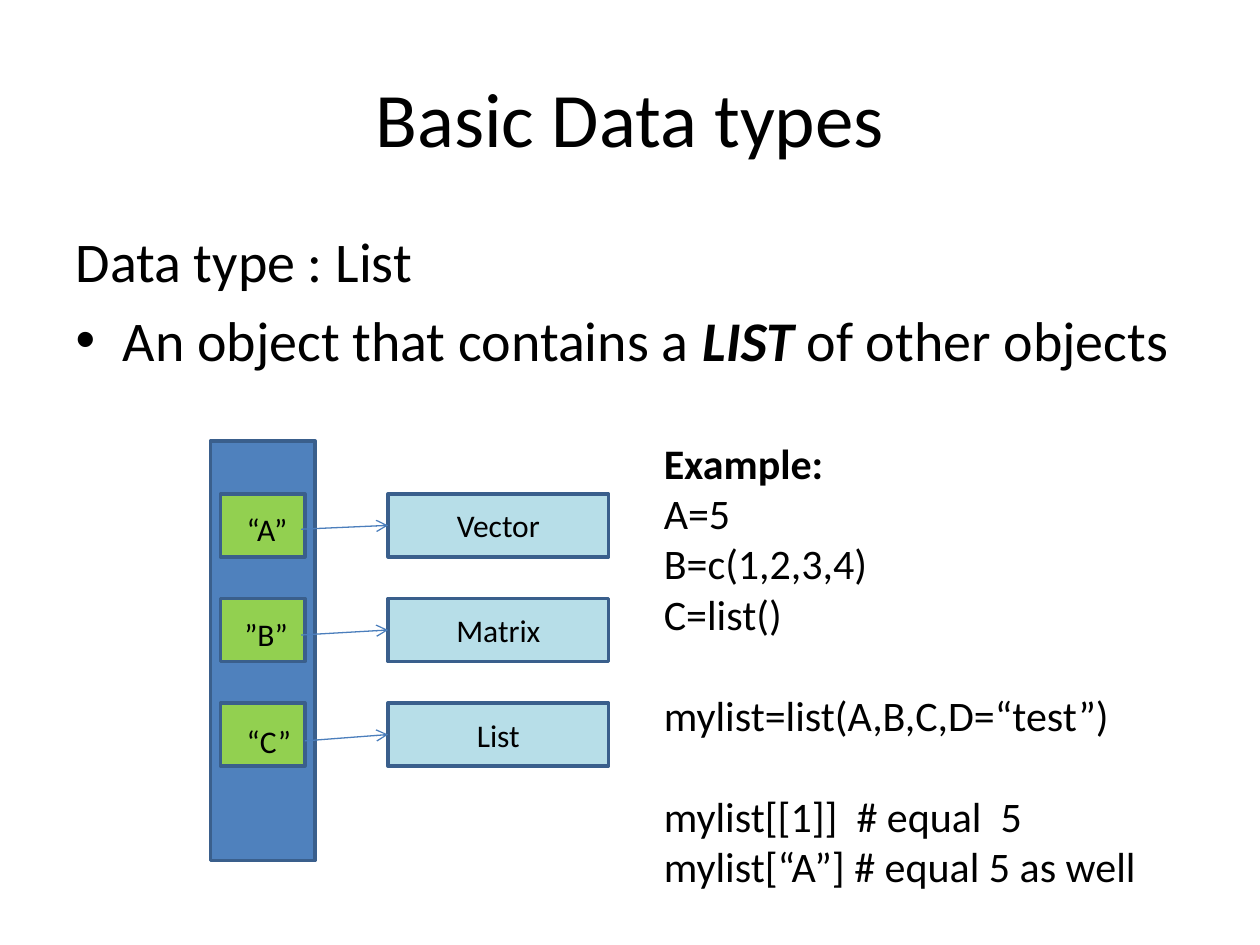
from lxml.etree import SubElement
from pptx import Presentation
from pptx.dml.color import RGBColor
from pptx.enum.shapes import MSO_CONNECTOR, MSO_SHAPE
from pptx.enum.text import MSO_ANCHOR, MSO_AUTO_SIZE, PP_ALIGN
from pptx.oxml.ns import qn
from pptx.util import Inches, Pt


def paint(color_format, hex_color):
    color_format.rgb = RGBColor.from_string(hex_color)


def add_box(left, top, width, height, fill):
    shape = slide.shapes.add_shape(
        MSO_SHAPE.RECTANGLE, Inches(left), Inches(top), Inches(width), Inches(height))
    shape.shadow.inherit = False
    shape.fill.solid()
    paint(shape.fill.fore_color, fill)
    paint(shape.line.color, "3A5F8C")
    shape.line.width = Pt(2)
    return shape


presentation = Presentation()
presentation.slide_width = Inches(10)
presentation.slide_height = Inches(7.5)
slide = presentation.slides.add_slide(presentation.slide_layouts[1])

# Title
title = slide.shapes.title
title.left, title.top, title.width, title.height = map(Inches, (0.5, 0.3, 9, 1.25))
title.text_frame.text = "Basic Data types"
paragraph = title.text_frame.paragraphs[0]
paragraph.font.name = "Calibri"
paragraph.font.size = Pt(44)

# Heading and definition
body = slide.placeholders[1]
body.left, body.top, body.width, body.height = map(Inches, (0.5, 1.75, 9, 2.08))
heading = body.text_frame.paragraphs[0]
heading.text = "Data type : List"
SubElement(heading._p.get_or_add_pPr(), qn("a:buNone"))
definition = body.text_frame.add_paragraph()
for text, emphasis in (("An object that contains a ", None), ("LIST", True),
                       (" of other objects", None)):
    run = definition.add_run()
    run.text = text
    run.font.bold = run.font.italic = emphasis
for paragraph in (heading, definition):
    paragraph.font.name = "Calibri"
    paragraph.font.size = Pt(32)

# List container
add_box(1.67, 3.5, 0.83, 3.33, "4F81BD")

# Rows: name, label left, label top, label width, arrow start, content
rows = [
    ("“A”", 1.86, 4.0, 0.53, (2.39, 4.2), "Vector"),
    ("”B”", 1.84, 4.83, 0.55, (2.39, 5.04), "Matrix"),
    ("“C”", 1.86, 5.68, 0.56, (2.42, 5.88), "List"),
]
for index, (name, left, top, width, start, content) in enumerate(rows):
    row_top = 3.92 + index * 0.83
    add_box(1.75, row_top, 0.67, 0.5, "92D050")

    # Content box
    content_box = add_box(3.08, row_top, 1.75, 0.5, "B7DEE8")
    content_box.text_frame.text = content
    content_box.text_frame.vertical_anchor = MSO_ANCHOR.MIDDLE
    content_box.text_frame.paragraphs[0].alignment = PP_ALIGN.CENTER

    # Name label
    label = slide.shapes.add_textbox(
        Inches(left), Inches(top), Inches(width), Inches(0.4))
    label.text_frame.text = name
    label.text_frame.word_wrap = False
    label.text_frame.auto_size = MSO_AUTO_SIZE.SHAPE_TO_FIT_TEXT

    for shape in (content_box, label):
        font = shape.text_frame.paragraphs[0].font
        font.name = "Calibri"
        font.size = Pt(18)
        paint(font.color, "000000")

    # Arrow from name to content
    arrow = slide.shapes.add_connector(
        MSO_CONNECTOR.STRAIGHT, Inches(start[0]), Inches(start[1]),
        Inches(3.08), Inches(row_top + 0.25))
    paint(arrow.line.color, "4B7EBC")
    arrow.line.width = Pt(0.75)
    SubElement(arrow.line._get_or_add_ln(), qn("a:tailEnd"), type="arrow")
    SubElement(arrow._element.spPr, qn("a:effectLst"))

# Example code: text and space before in points
example_lines = [
    ("Example:", 0),
    ("A=5", 0),
    ("B=c(1,2,3,4)", 0),
    ("C=list()", 0),
    ("mylist=list(A,B,C,D=“test”)", 29),
    ("mylist[[1]]  # equal  5", 29),
    ("mylist[“A”] # equal 5 as well", 0),
]
example = slide.shapes.add_textbox(Inches(5.17), Inches(3.42), Inches(4.5), Inches(4.14))
frame = example.text_frame
frame.word_wrap = True
frame.auto_size = MSO_AUTO_SIZE.SHAPE_TO_FIT_TEXT
for index, (text, space) in enumerate(example_lines):
    paragraph = frame.add_paragraph() if index else frame.paragraphs[0]
    paragraph.text = text
    paragraph.space_before = Pt(space)
    paragraph.font.name = "Calibri"
    paragraph.font.size = Pt(24)
    paragraph.font.bold = index == 0
    paint(paragraph.font.color, "000000")

presentation.save("out.pptx")
